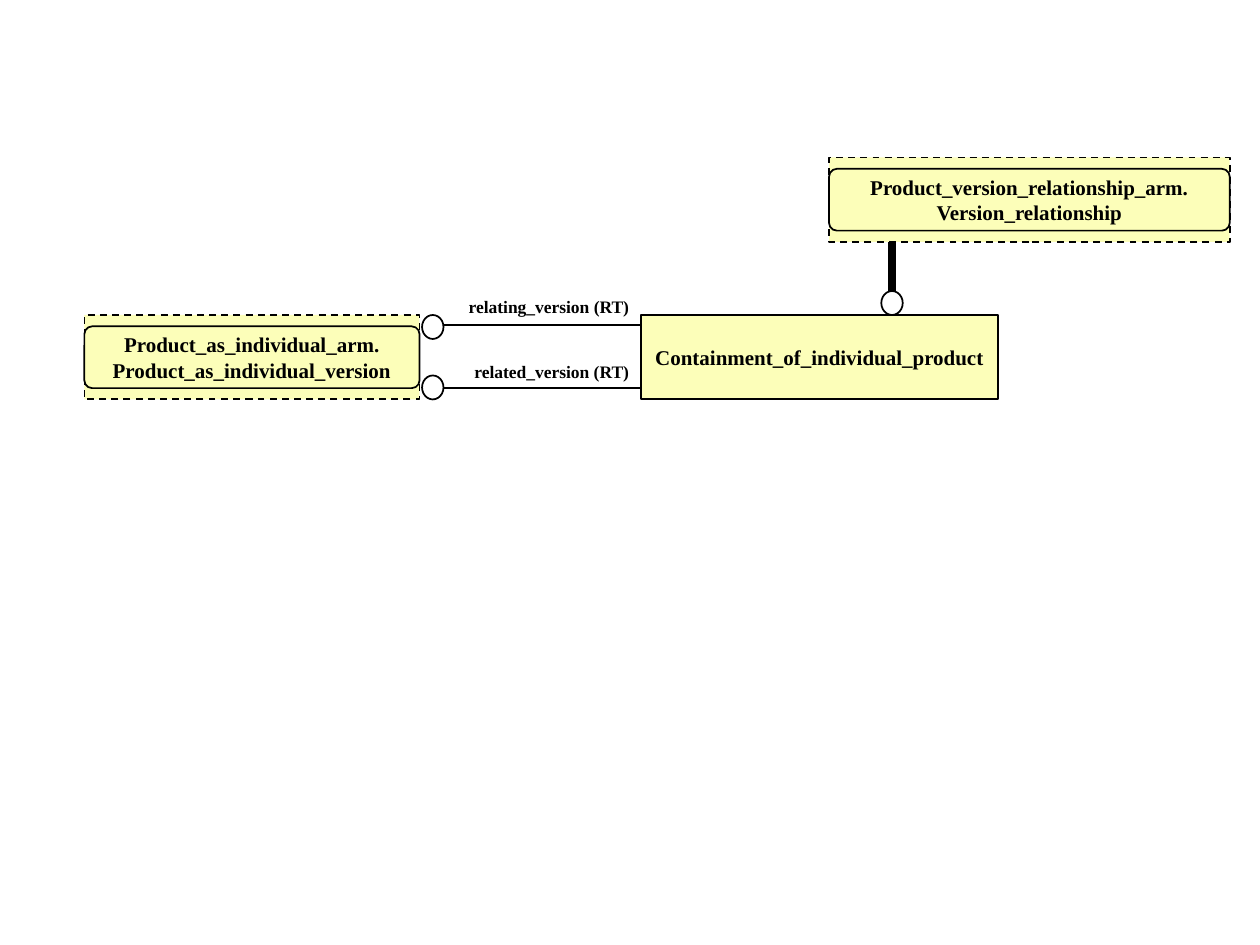
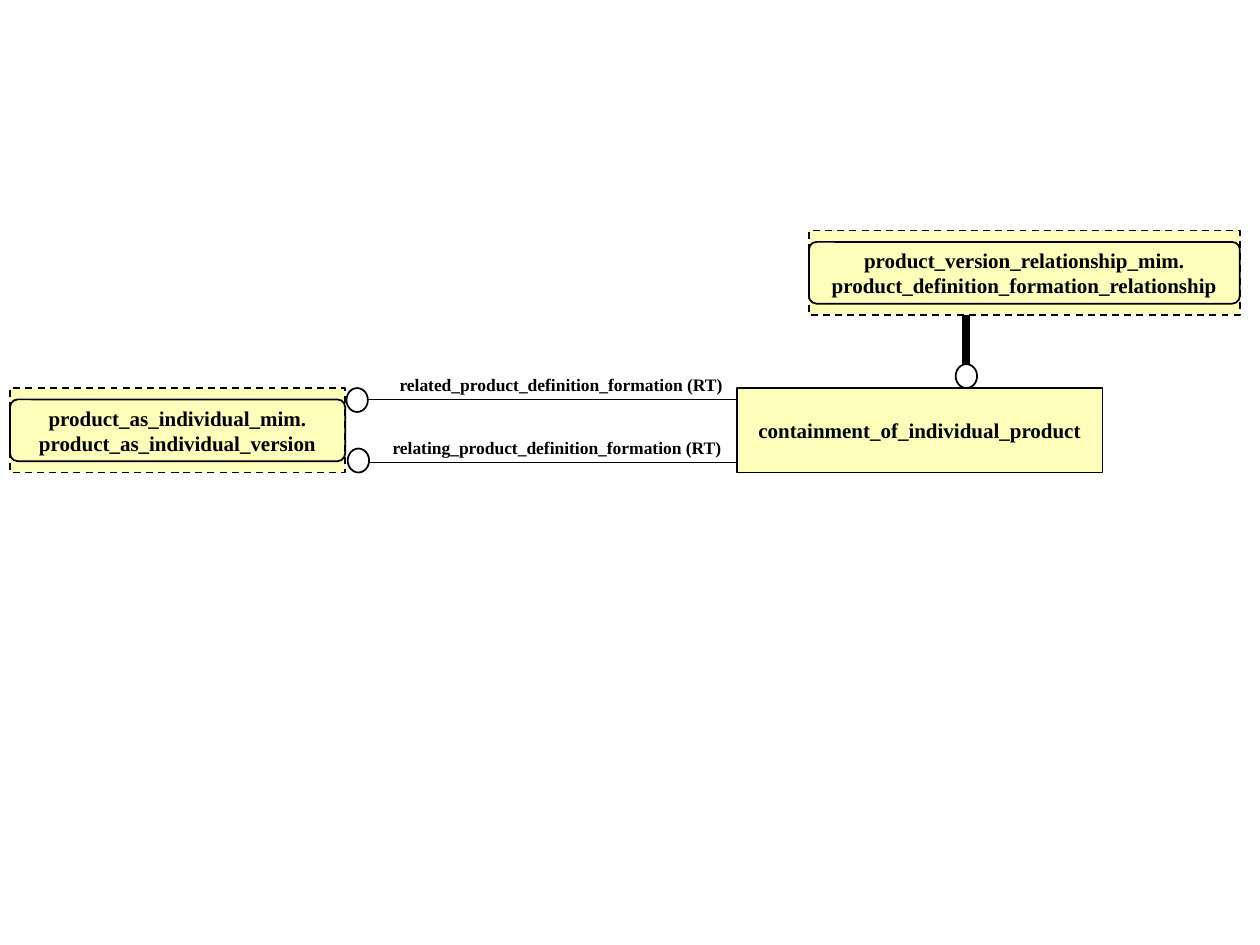
from dataclasses import dataclass

from lxml import etree
from pptx import Presentation
from pptx.dml.color import RGBColor
from pptx.enum.dml import MSO_LINE_DASH_STYLE as DASH
from pptx.enum.shapes import MSO_CONNECTOR as CONNECTOR, MSO_SHAPE as SHAPE
from pptx.enum.text import MSO_ANCHOR as ANCHOR, PP_ALIGN as ALIGN
from pptx.oxml.ns import qn
from pptx.util import Inches, Pt


@dataclass(frozen=True)
class Theme:
    font: str = "Times New Roman"
    ink: RGBColor = RGBColor(0, 0, 0)
    paper: RGBColor = RGBColor(0xFF, 0xFF, 0xFF)
    entity_fill: RGBColor = RGBColor(0xFC, 0xFE, 0xB9)
    entity_size: float = 12
    label_size: float = 10
    thin: float = 1
    thick: float = 4.5


ENTITY_HEIGHT = 0.67
INSET = 0.09  # gap between a dashed frame and its rounded box
DOT_WIDTH, DOT_HEIGHT = 0.17, 0.19
LABEL_HEIGHT = 0.27


def write(frame, text, *, theme, size, align, wrap, anchor):
    """Put bold text into a frame, one paragraph per line."""
    frame.word_wrap = wrap
    frame.vertical_anchor = anchor
    for index, line in enumerate(text.split("\n")):
        paragraph = frame.paragraphs[0] if index == 0 else frame.add_paragraph()
        paragraph.alignment = align
        run = paragraph.add_run()
        run.text = line
        run.font.name = theme.font
        run.font.size = Pt(size)
        run.font.bold = True
        run.font.color.rgb = theme.ink


class Diagram:
    """Holds the style and the current slide of an EXPRESS-G diagram."""

    def __init__(self, theme):
        self.theme = theme
        self.deck = Presentation()
        self.deck.slide_width, self.deck.slide_height = Inches(10), Inches(7.5)
        self.slide = None

    def new_slide(self):
        self.slide = self.deck.slides.add_slide(self.deck.slide_layouts[6])
        self.slide.background.fill.solid()
        self.slide.background.fill.fore_color.rgb = self.theme.paper

    def outline(self, kind, left, top, width, height, fill=None, parent=None):
        shapes = (parent or self.slide).shapes
        shape = shapes.add_shape(
            kind, Inches(left), Inches(top), Inches(width), Inches(height))
        shape.shadow.inherit = False
        if fill is None:
            shape.fill.background()
        else:
            shape.fill.solid()
            shape.fill.fore_color.rgb = fill
        shape.line.color.rgb = self.theme.ink
        shape.line.width = Pt(self.theme.thin)
        return shape

    def entity(self, text, left, top, width, parent=None):
        box = self.outline(SHAPE.RECTANGLE, left, top, width, ENTITY_HEIGHT,
                           self.theme.entity_fill, parent)
        write(box.text_frame, text, theme=self.theme, size=self.theme.entity_size,
              align=ALIGN.CENTER, wrap=False, anchor=ANCHOR.MIDDLE)
        return box

    def external_entity(self, text, left, top, width):
        """An entity of another schema: dashed frame around a rounded box."""
        group = self.slide.shapes.add_group_shape()
        frame = self.entity(text, left, top, width, group)
        frame.line.dash_style = DASH.DASH
        rounded = self.outline(SHAPE.ROUNDED_RECTANGLE, left, top + INSET, width,
                               ENTITY_HEIGHT - 2 * INSET, parent=group)
        rounded.adjustments[0] = 0.125

    def line(self, start, end, weight):
        link = self.slide.shapes.add_connector(
            CONNECTOR.STRAIGHT, *(Inches(value) for value in (*start, *end)))
        link.line.color.rgb = self.theme.ink
        link.line.width = Pt(weight)
        etree.SubElement(link._element.spPr, qn("a:effectLst"))

    def dot(self, left, top):
        self.outline(SHAPE.OVAL, left, top, DOT_WIDTH, DOT_HEIGHT, self.theme.paper)

    def label(self, text, right, top, width):
        box = self.slide.shapes.add_textbox(
            Inches(right - width), Inches(top), Inches(width), Inches(LABEL_HEIGHT))
        write(box.text_frame, text, theme=self.theme, size=self.theme.label_size,
              align=ALIGN.RIGHT, wrap=True, anchor=ANCHOR.TOP)

    def attribute(self, text, dot, line_y, line_end, label):
        """A relation that ends in a circle at the referenced entity."""
        self.line((dot[0] + DOT_WIDTH, line_y), (line_end, line_y), self.theme.thin)
        self.dot(*dot)
        self.label(text, *label)

    def subtype(self, x, top):
        """A thick inheritance line that ends in a circle."""
        self.line((x, top), (x, top + 0.41), self.theme.thick)
        self.dot(x - DOT_WIDTH / 2, top + 0.39)


def main():
    diagram = Diagram(Theme())

    # ARM diagram
    diagram.new_slide()
    diagram.external_entity(
        "Product_as_individual_arm.\nProduct_as_individual_version", 0.67, 2.5, 2.66)
    diagram.entity("Containment_of_individual_product", 5.09, 2.5, 2.83)
    diagram.external_entity(
        "Product_version_relationship_arm.\nVersion_relationship", 6.58, 1.25, 3.18)
    diagram.subtype(7.08, 1.92)
    diagram.attribute("relating_version (RT)", dot=(3.35, 2.5), line_y=2.58,
                      line_end=5.09, label=(5.09, 2.3, 2.47))
    diagram.attribute("related_version (RT)", dot=(3.35, 2.98), line_y=3.08,
                      line_end=5.09, label=(5.09, 2.82, 1.5))

    # MIM diagram
    diagram.new_slide()
    diagram.external_entity(
        "product_as_individual_mim.\nproduct_as_individual_version", 0.08, 3.08, 2.66)
    diagram.entity("containment_of_individual_product", 5.85, 3.08, 2.9)
    diagram.external_entity(
        "product_version_relationship_mim.\nproduct_definition_formation_relationship",
        6.42, 1.83, 3.42)
    diagram.subtype(7.67, 2.5)
    diagram.attribute("related_product_definition_formation (RT)", dot=(2.75, 3.08),
                      line_y=3.17, line_end=5.85, label=(5.83, 2.92, 2.83))
    diagram.attribute("relating_product_definition_formation (RT)", dot=(2.76, 3.56),
                      line_y=3.67, line_end=5.85, label=(5.82, 3.42, 2.85))

    diagram.deck.save("out.pptx")


if __name__ == "__main__":
    main()
